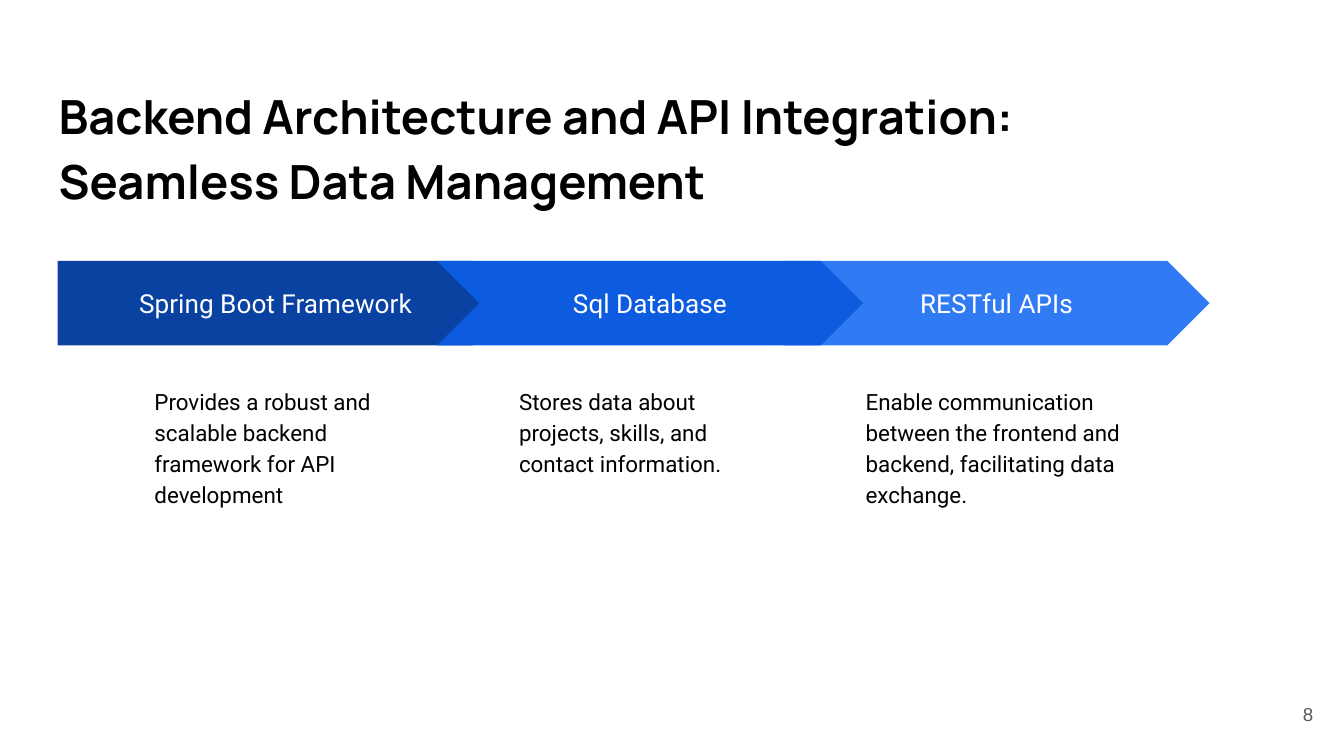
from dataclasses import dataclass

from pptx import Presentation
from pptx.dml.color import RGBColor
from pptx.enum.shapes import MSO_SHAPE
from pptx.enum.text import MSO_ANCHOR, MSO_AUTO_SIZE, PP_ALIGN
from pptx.util import Cm, Pt

PLATE, CHEVRON = MSO_SHAPE.PENTAGON, MSO_SHAPE.CHEVRON
TOP, MIDDLE = MSO_ANCHOR.TOP, MSO_ANCHOR.MIDDLE
LEFT, CENTER, RIGHT = PP_ALIGN.LEFT, PP_ALIGN.CENTER, PP_ALIGN.RIGHT
NO_FIT = MSO_AUTO_SIZE.NONE
TITLE_ONLY = 5


@dataclass(frozen=True)
class Style:
    font: str
    size: float
    color: str
    bold: bool = False


@dataclass(frozen=True)
class Theme:
    title: Style = Style("Manrope", 25.2, "000000", True)
    label: Style = Style("Roboto", 14, "FFFFFF")
    note: Style = Style("Roboto", 12, "000000")
    number: Style = Style("Arial", 10, "595959")
    dark: str = "0942A1"
    mid: str = "0D5CDF"
    light: str = "307AF3"
    paper: str = "FFFFFF"


THEME = Theme()


def place(shape, box):
    shape.left, shape.top, shape.width, shape.height = map(Cm, box)


def write(shape, text, style, align=LEFT, anchor=TOP, flow=False):
    frame = shape.text_frame
    frame.word_wrap = True
    frame.auto_size = NO_FIT
    frame.vertical_anchor = anchor
    frame.margin_left = frame.margin_right = Cm(0.25)
    frame.margin_top = frame.margin_bottom = Cm(0.25)
    para = frame.paragraphs[0]
    para.alignment = align
    if flow:
        para.line_spacing = 1.15
        para.space_before = Pt(12)
    run = para.add_run()
    run.text = text
    font = run.font
    font.name, font.size, font.bold = style.font, Pt(style.size), style.bold
    font.color.rgb = RGBColor.from_string(style.color)


def add_title(slide, box, text):
    title = slide.shapes.title
    place(title, box)
    write(title, text, THEME.title, flow=True)


def add_step(slide, box, kind, color, indent, label, note):
    left, top, width, height = box
    group = slide.shapes.add_group_shape()
    arrow = group.shapes.add_shape(kind, *map(Cm, box))
    arrow.adjustments[0] = 0.5
    arrow.shadow.inherit = False
    arrow.fill.solid()
    arrow.fill.fore_color.rgb = RGBColor.from_string(color)
    arrow.line.fill.background()
    write(arrow, label, THEME.label, CENTER, MIDDLE)
    area = (left + indent, top + 2.08, 5.46, 6.27)
    body = group.shapes.add_textbox(*map(Cm, area))
    write(body, note, THEME.note, flow=True)


def add_flow(slide, box):
    left, top, width, height = box
    wide, pitch = 8.05, 6.55
    last = left + width - wide
    add_step(slide, (last, top, wide, height), CHEVRON, THEME.light, 1.3,
             "RESTful APIs",
             "Enable communication between the frontend and backend, "
             "facilitating data exchange.")
    add_step(slide, (left, top, 8.64, height), PLATE, THEME.dark, 1.58,
             "Spring Boot Framework",
             "Provides a robust and scalable backend framework "
             "for API development")
    add_step(slide, (last - pitch, top, wide, height), CHEVRON, THEME.mid, 1.3,
             "Sql Database",
             "Stores data about projects, skills, and contact information.")


def add_number(slide, box, text):
    number = slide.shapes.add_textbox(*map(Cm, box))
    write(number, text, THEME.number, RIGHT, MIDDLE)


def main():
    deck = Presentation()
    deck.slide_width, deck.slide_height = Cm(25.4), Cm(14.29)
    slide = deck.slides.add_slide(deck.slide_layouts[TITLE_ONLY])
    slide.background.fill.solid()
    slide.background.fill.fore_color.rgb = RGBColor.from_string(THEME.paper)
    add_title(slide, (0.86, 1.24, 22.58, 1.6),
              "Backend Architecture and API Integration: "
              "Seamless Data Management")
    add_flow(slide, (1.09, 4.93, 21.77, 1.6))
    add_number(slide, (23.55, 12.95, 1.52, 1.09), "8")
    deck.save("out.pptx")


if __name__ == "__main__":
    main()
